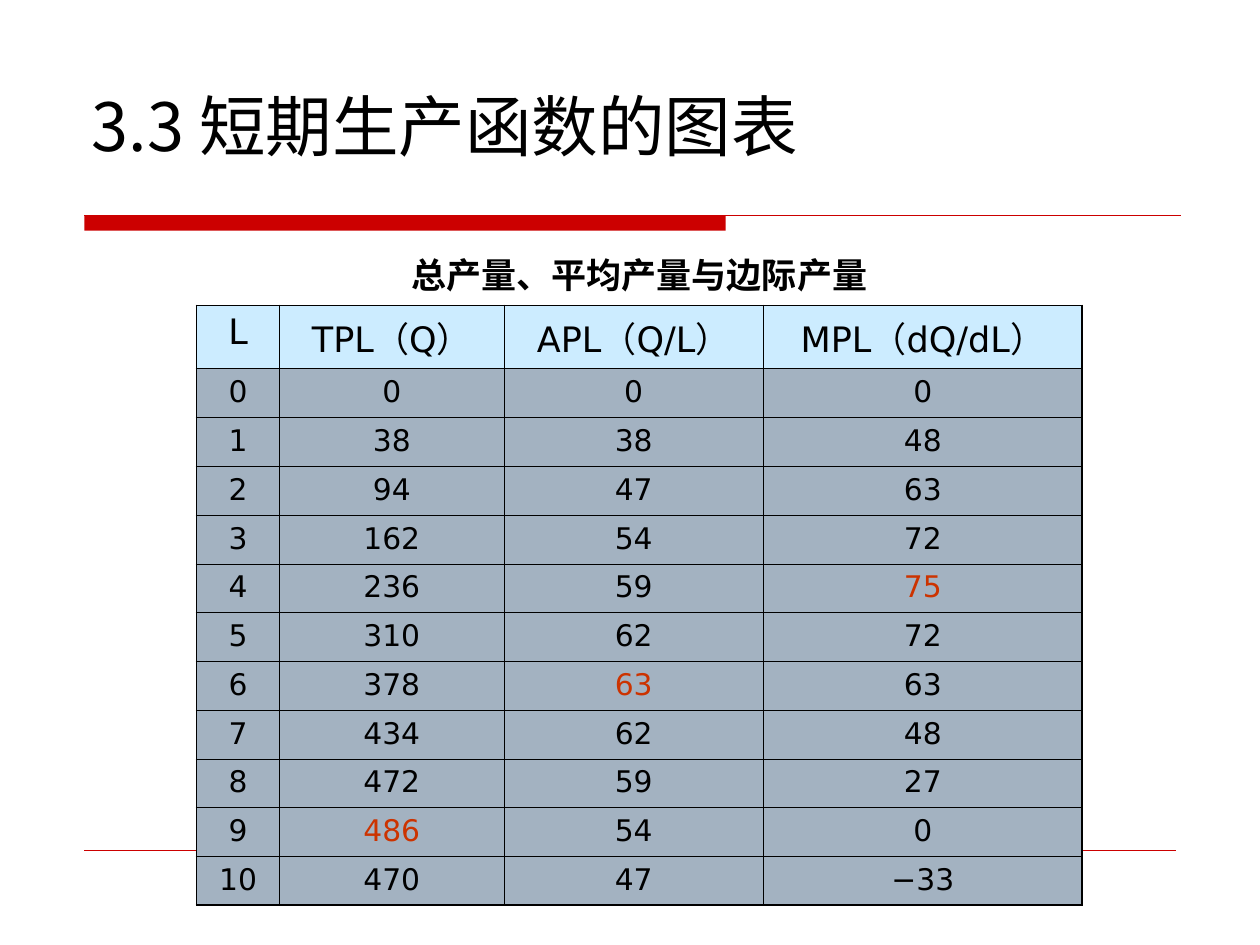
from lxml import etree
from pptx import Presentation
from pptx.dml.color import RGBColor
from pptx.enum.shapes import MSO_CONNECTOR, MSO_SHAPE
from pptx.enum.text import MSO_ANCHOR, MSO_AUTO_SIZE, PP_ALIGN
from pptx.oxml.ns import qn
from pptx.util import Inches, Pt

STRAIGHT = MSO_CONNECTOR.STRAIGHT
RECTANGLE = MSO_SHAPE.RECTANGLE
LEFT, CENTER = PP_ALIGN.LEFT, PP_ALIGN.CENTER
MIDDLE, TOP = MSO_ANCHOR.MIDDLE, MSO_ANCHOR.TOP
NO_AUTOFIT = MSO_AUTO_SIZE.NONE

TITLE = "3.3 短期生产函数的图表"
CAPTION = "总产量、平均产量与边际产量"
HEADINGS = ("L", "TPL（Q）", "APL（Q/L）", "MPL（dQ/dL）")
OUTPUT = [
    (0, 0, 0, 0),
    (1, 38, 38, 48),
    (2, 94, 47, 63),
    (3, 162, 54, 72),
    (4, 236, 59, 75),
    (5, 310, 62, 72),
    (6, 378, 63, 63),
    (7, 434, 62, 48),
    (8, 472, 59, 27),
    (9, 486, 54, 0),
    (10, 470, 47, -33),
]

THEME = {
    "latin": "DejaVu Sans", "cjk": "Noto Sans CJK SC",
    "text": "000000", "peak": "CC3300", "rule": "CC0000",
    "heading_fill": "CCECFF", "body_fill": "A3B2C1",
    "title_size": 38, "heading_size": 20, "body_size": 17,
    "outer": 1.08, "inner": 0.45,
}

TITLE_BOX = {"left": 0.63, "top": 0.33, "width": 8.75, "height": 1.33}
BAR_BOX = (0.67, 1.71, 5.09, 0.12)
RULES = [(9.37, 1.71, 0.75), (9.33, 6.75, 0.25)]
RULE_LEFT = 0.67
TABLE_LEFT, TABLE_TOP = 1.56, 1.92
COLUMN_WIDTHS = (0.66, 1.78, 2.06, 2.53)
HEADING_HEIGHT, BODY_HEIGHT = 0.5, 4.26


def color(key):
    return RGBColor.from_string(THEME[key])


def write(frame, text, latin, size, align, tint="text", bold=False):
    paragraph = frame.paragraphs[0]
    paragraph.alignment = align
    run = paragraph.add_run()
    run.text = text
    style = {"name": THEME[latin], "size": Pt(THEME[size]), "bold": bold}
    for attribute, value in style.items():
        setattr(run.font, attribute, value)
    run.font.color.rgb = color(tint)
    east_asian = etree.SubElement(run._r.get_or_add_rPr(), qn("a:ea"))
    east_asian.set("typeface", THEME["cjk"])


def add_rule(slide, right, y, weight):
    rule = slide.shapes.add_connector(
        STRAIGHT, Inches(RULE_LEFT), Inches(y), Inches(right), Inches(y))
    rule.line.color.rgb = color("rule")
    rule.line.width = Pt(weight)
    etree.SubElement(rule._element.spPr, qn("a:effectLst"))


def set_borders(cell, weights):
    properties = cell._tc.get_or_add_tcPr()
    for side, weight in zip("LRTB", weights):
        border = etree.SubElement(properties, qn(f"a:ln{side}"))
        if weight:
            border.set("w", str(Pt(weight)))
            fill = etree.SubElement(border, qn("a:solidFill"))
            etree.SubElement(fill, qn("a:srgbClr")).set("val", THEME["text"])
        else:
            etree.SubElement(border, qn("a:noFill"))


def add_output_table(slide):
    row_count, column_count = len(OUTPUT) + 2, len(HEADINGS)
    table = slide.shapes.add_table(
        row_count, column_count, Inches(TABLE_LEFT), Inches(TABLE_TOP),
        Inches(sum(COLUMN_WIDTHS)),
        Inches(2 * HEADING_HEIGHT + BODY_HEIGHT)).table
    table.first_row = table.horz_banding = False
    for column, width in zip(table.columns, COLUMN_WIDTHS):
        column.width = Inches(width)
    for index, row in enumerate(table.rows):
        row.height = Inches(HEADING_HEIGHT if index < 2 else BODY_HEIGHT / len(OUTPUT))

    outer, inner = THEME["outer"], THEME["inner"]
    for column in range(column_count):
        caption_cell = table.cell(0, column)
        set_borders(caption_cell, (0, 0, 0, outer))
        caption_cell.fill.background()
    table.cell(0, 0).merge(table.cell(0, column_count - 1))
    write(table.cell(0, 0).text_frame, CAPTION, "latin", "heading_size", CENTER, bold=True)

    peaks = [max(values) for values in zip(*OUTPUT)]
    for index, values in enumerate([HEADINGS] + OUTPUT, start=1):
        is_heading = index == 1
        for column, value in enumerate(values):
            cell = table.cell(index, column)
            set_borders(cell, (
                outer if column == 0 else inner,
                outer if column == column_count - 1 else inner,
                outer if is_heading else inner,
                outer if index == row_count - 1 else inner))
            cell.fill.solid()
            cell.fill.fore_color.rgb = color("heading_fill" if is_heading else "body_fill")
            cell.vertical_anchor = TOP
            is_peak = column > 0 and value == peaks[column]
            write(cell.text_frame, str(value).replace("-", "−"), "latin",
                  "heading_size" if is_heading else "body_size", CENTER,
                  "peak" if is_peak else "text")


def main():
    deck = Presentation()
    deck.slide_width, deck.slide_height = Inches(10), Inches(7.5)
    slide = deck.slides.add_slide(deck.slide_layouts[5])

    title = slide.shapes.title
    for attribute, value in TITLE_BOX.items():
        setattr(title, attribute, Inches(value))
    title.text_frame.auto_size = NO_AUTOFIT
    title.text_frame.vertical_anchor = MIDDLE
    write(title.text_frame, TITLE, "cjk", "title_size", LEFT)

    bar = slide.shapes.add_shape(RECTANGLE, *map(Inches, BAR_BOX))
    bar.shadow.inherit = False
    bar.fill.solid()
    bar.fill.fore_color.rgb = color("rule")
    bar.line.fill.background()
    for right, y, weight in RULES:
        add_rule(slide, right, y, weight)

    add_output_table(slide)
    deck.save("out.pptx")


if __name__ == "__main__":
    main()
